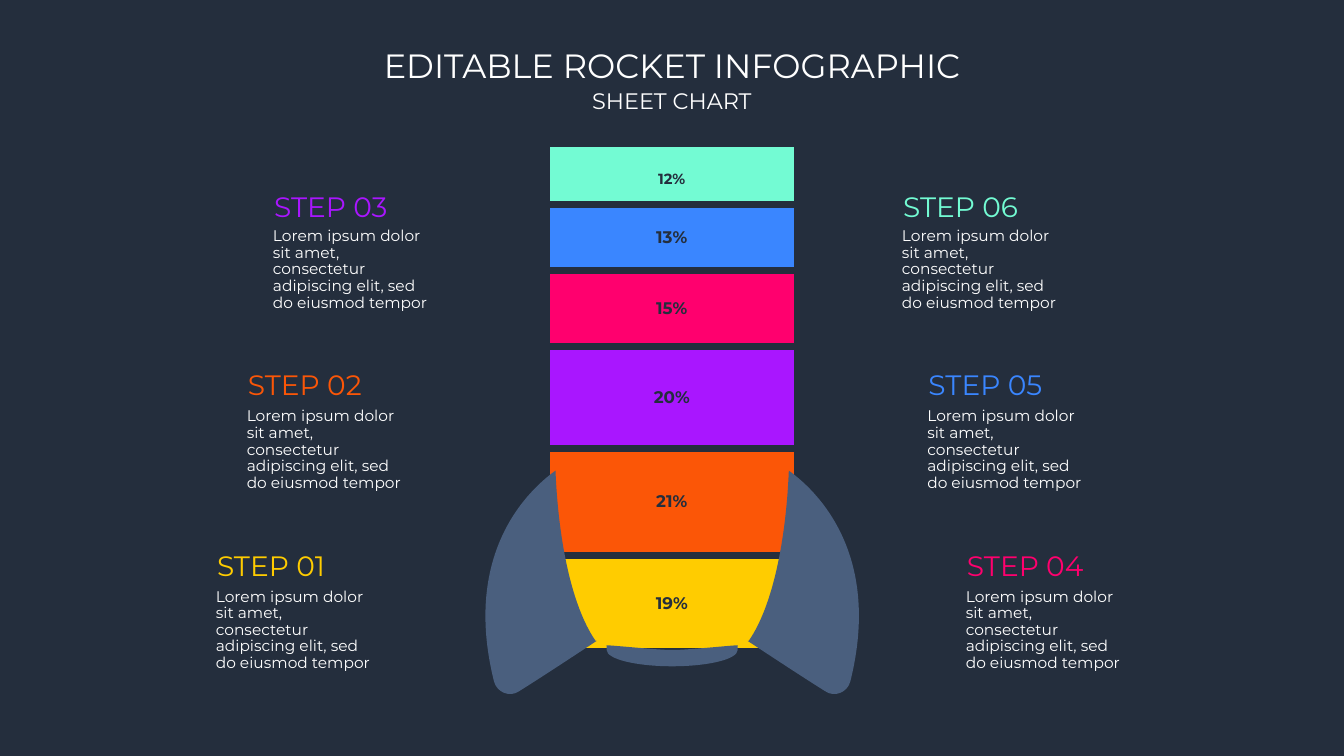
from lxml import etree
from pptx import Presentation
from pptx.chart.data import CategoryChartData
from pptx.dml.color import RGBColor
from pptx.enum.chart import XL_CHART_TYPE as ChartType, XL_LABEL_POSITION as LabelPos
from pptx.enum.text import MSO_AUTO_SIZE as AutoSize, PP_ALIGN as Align
from pptx.oxml import parse_xml
from pptx.oxml.ns import nsdecls, qn
from pptx.util import Cm, Pt

# Content
FONT = "Montserrat"
COLORS = {
    "back": "242E3D", "text": "FFFFFF", "fin": "4A5F7E",
    "yellow": "FFCC00", "orange": "FB5607", "purple": "A916FF",
    "pink": "FF006E", "blue": "3A86FF", "mint": "73FBD3",
}
HEADINGS = [  # text, size, left, top, width, height
    ("EDITABLE ROCKET INFOGRAPHIC", 24, 9.2, 1, 15.47, 1.27),
    ("SHEET CHART", 16, 14.61, 2.06, 4.65, 0.94),
]
BODY = "Lorem ipsum dolor sit amet, consectetur adipiscing elit, sed do eiusmod tempor"
STEPS = [  # title, share, label size, colour, left
    ("STEP 01", 0.19, 12, "yellow", 5.22),
    ("STEP 02", 0.21, 12, "orange", 6),
    ("STEP 03", 0.20, 12, "purple", 6.66),
    ("STEP 04", 0.15, 12, "pink", 24.12),
    ("STEP 05", 0.13, 12, "blue", 23.15),
    ("STEP 06", 0.12, 10.5, "mint", 22.51),
]
ROWS = [(13.79, 14.71), (9.23, 10.17), (4.75, 5.63)]  # title top, body top
TOP_LABEL_DROP = 0.01  # share of the chart height

# Outlines: a start point, then curves (three points) or lines (one point)
CENTER_X = 16.94
FIN = [
    [(15.01, 16.15)],
    [(14.4, 15.27), (14.07, 13.59), (14, 11.86)],
    [(13.36, 12.32), (11.63, 13.89), (12.45, 17.17)],
    [(12.52, 17.45), (12.85, 17.58), (13.08, 17.42)],
    [(13.72, 17.02), (14.61, 16.43), (15.04, 16.15)],
]
NOZZLE = [
    [(16.94, 16.38)],
    [(16.59, 16.38), (15.65, 16.28), (15.29, 16.26)],
    [(15.29, 16.38)],
    [(15.29, 16.61), (16.03, 16.79), (16.94, 16.79)],
    [(17.86, 16.79), (18.59, 16.61), (18.59, 16.38)],
    [(18.59, 16.26)],
    [(18.24, 16.28), (17.32, 16.38), (16.94, 16.38)],
]


def rgb(name):
    return RGBColor.from_string(COLORS[name])


def style(font, size, color, bold=False):
    font.name, font.size, font.bold = FONT, Pt(size), bold
    font.color.rgb = rgb(color)


def add_text(slide, text, size, color, left, top, width, height, heading=False):
    tf = slide.shapes.add_textbox(Cm(left), Cm(top), Cm(width), Cm(height)).text_frame
    tf.word_wrap = not heading
    p = tf.paragraphs[0]
    p.text = text
    style(p.font, size, color)
    if heading:
        tf.auto_size = AutoSize.SHAPE_TO_FIT_TEXT
        p.alignment = Align.CENTER
    else:
        p.line_spacing, p.space_before = 0.9, Pt(10)


def add_outline(shapes, segments):
    pts = [(Cm(x), Cm(y)) for seg in segments for x, y in seg]
    builder = shapes.build_freeform(*pts[0], scale=1.0)
    builder.add_line_segments(pts[1:], close=True)
    sp = builder.convert_to_shape()
    sp.shadow.inherit = False
    sp.fill.solid()
    sp.fill.fore_color.rgb = rgb("fin")
    sp.line.fill.background()
    # Merge each run of three line steps into one cubic curve
    lines = iter(list(sp._element.iter(qn("a:lnTo"))))
    for seg in segments[1:]:
        steps = [next(lines) for _ in seg]
        if len(seg) == 3:
            curve = etree.Element(qn("a:cubicBezTo"))
            steps[0].addprevious(curve)
            for step in steps:
                curve.append(step[0])
                step.getparent().remove(step)


def lower_label(series, size):
    """Give the series' only point its own label, set slightly lower."""
    label = series.points[0].data_label
    label.position = LabelPos.CENTER
    style(label.font, size, "back", bold=True)
    index = next(series._element.iter(qn("c:dLbl"))).find(qn("c:idx"))
    index.addnext(parse_xml(
        f'<c:layout {nsdecls("c")}><c:manualLayout><c:x val="0"/>'
        f'<c:y val="{TOP_LABEL_DROP}"/></c:manualLayout></c:layout>'))


def add_rocket_chart(slide):
    data = CategoryChartData(number_format="0%")
    data.categories = ["1"]
    for i, step in enumerate(STEPS, 1):
        data.add_series(f"Series {i}", [step[1]])
    chart = slide.shapes.add_chart(ChartType.COLUMN_STACKED_100, Cm(11.7), Cm(3.35),
                                   Cm(10.46), Cm(13.34), data).chart
    style(chart.font, 10, "text")
    chart.has_title = chart.has_legend = False
    for axis in (chart.category_axis, chart.value_axis):
        axis.visible = axis.has_major_gridlines = False
    plot = chart.plots[0]
    plot.gap_width, plot.overlap, plot.vary_by_categories = 59, 100, False
    for series, (_, _, size, color, _) in zip(plot.series, STEPS):
        fmt = series.format
        fmt.fill.solid()
        fmt.fill.fore_color.rgb = rgb(color)
        fmt.line.color.rgb = rgb("back")
        fmt.line.width = Pt(5)
        labels = series.data_labels
        labels.show_value = True
        labels.position = LabelPos.CENTER
        labels.number_format, labels.number_format_is_linked = "0%", False
        style(labels.font, size, "back", bold=True)
    lower_label(plot.series[-1], STEPS[-1][2])


def main():
    prs = Presentation()
    prs.slide_width, prs.slide_height = Cm(33.87), Cm(19.05)
    slide = prs.slides.add_slide(prs.slide_layouts[6])
    slide.background.fill.solid()
    slide.background.fill.fore_color.rgb = rgb("back")

    # Rocket body, then the mirrored fins and the nozzle
    add_rocket_chart(slide)
    base = slide.shapes.add_group_shape()
    mirrored_fin = [[(2 * CENTER_X - x, y) for x, y in seg] for seg in FIN]
    for outline in (FIN, mirrored_fin, NOZZLE):
        add_outline(base.shapes, outline)

    # Headings
    for text, size, *box in HEADINGS:
        add_text(slide, text, size, "text", *box, heading=True)

    # Steps: three up the left side, three up the right
    for i, (title, _, _, color, left) in enumerate(STEPS):
        title_top, body_top = ROWS[i % len(ROWS)]
        add_text(slide, BODY, 11, "text", left - 0.03, body_top, 4.6, 2.24)
        add_text(slide, title, 20, color, left, title_top, 4.19, 0.99)

    prs.save("out.pptx")


if __name__ == "__main__":
    main()
